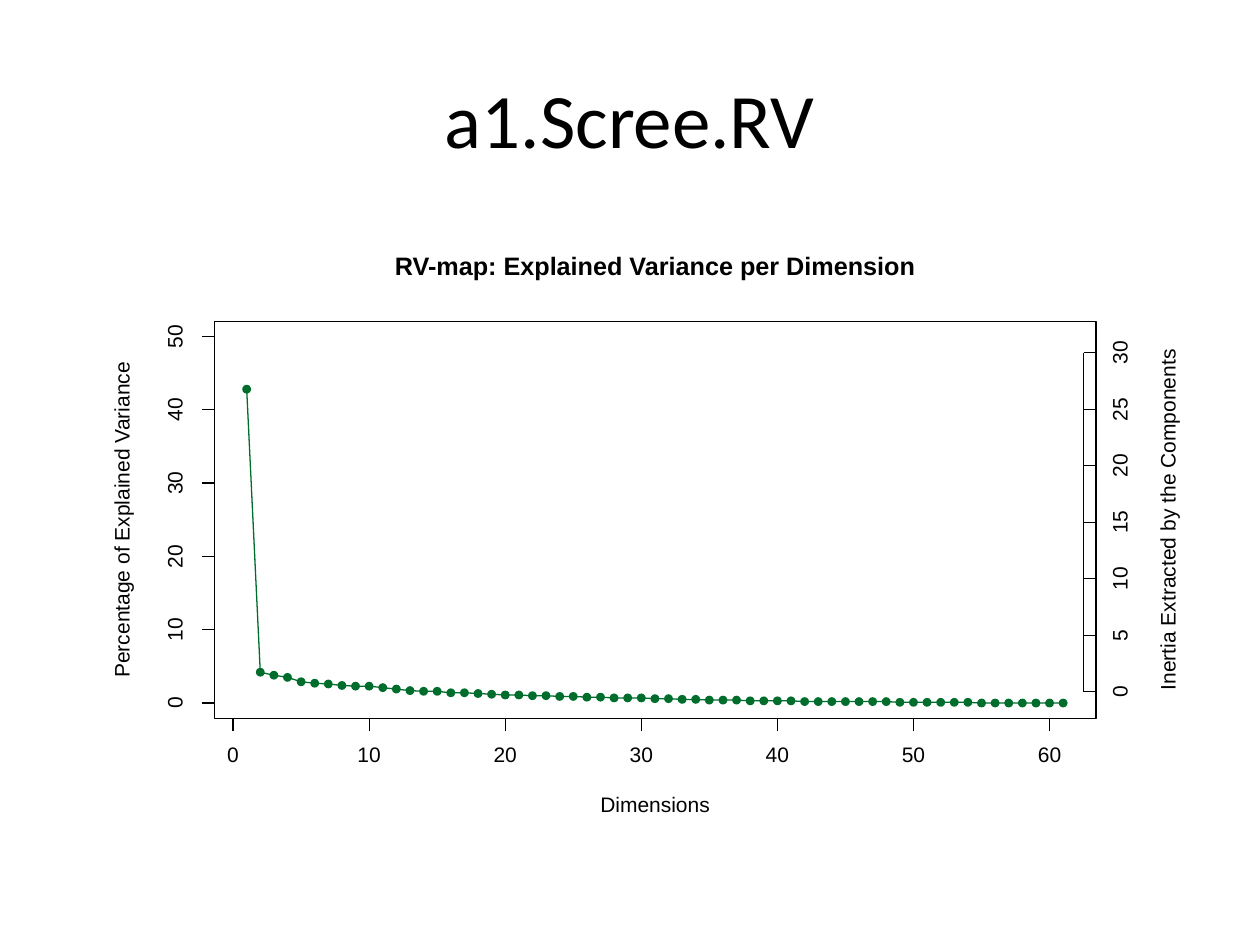
"""Build a scree plot slide with two vertical axes."""
from collections import namedtuple
from dataclasses import dataclass

from lxml.etree import SubElement
from pptx import Presentation
from pptx.dml.color import RGBColor
from pptx.enum.shapes import MSO_CONNECTOR as Connector, MSO_SHAPE as Preset
from pptx.enum.text import MSO_ANCHOR as Anchor, PP_ALIGN as Align
from pptx.oxml.ns import qn
from pptx.util import Inches, Pt


@dataclass(frozen=True)
class Theme:
    """Colours, fonts and type sizes of the slide."""

    ink: str = "000000"
    paper: str = "FFFFFF"
    series: str = "006D2C"
    heading_font: str = "Calibri"
    plot_font: str = "Arial"
    heading_size: float = 44
    title_size: float = 14.4
    label_size: float = 12
    line_width: float = 0.75


THEME = Theme()
COLUMNS, ROWS = 10, 7.5
UNIT = Inches(1)
FRAME = (1.7, 2.55, 7, 3.15)
LEFT, TOP, WIDTH, HEIGHT = FRAME
RIGHT, BOTTOM = LEFT + WIDTH, TOP + HEIGHT
MIDDLE_X, MIDDLE_Y = LEFT + WIDTH / 2, TOP + HEIGHT / 2
TICK, DOT, LABEL_GAP = 0.1, 0.07, 0.3

Scale = namedtuple("Scale", "start end highest step")
DIMENSIONS = Scale(1.85, 8.33, 60, 10)
VARIANCE = Scale(5.58, 2.67, 50, 10)
INERTIA = Scale(5.49, 2.8, 30, 5)

EXPLAINED = [
    42.8, 4.2, 3.8, 3.5, 2.9, 2.7, 2.6, 2.4, 2.3, 2.3,
    2.1, 1.9, 1.7, 1.6, 1.6, 1.4, 1.4, 1.3, 1.2, 1.1,
    1.1, 1.0, 1.0, 0.9, 0.9, 0.8, 0.8, 0.7, 0.7, 0.7,
    0.6, 0.6, 0.5, 0.5, 0.4, 0.4, 0.4, 0.3, 0.3, 0.3,
    0.3, *[0.2] * 7, *[0.1] * 6, *[0.0] * 7,
]


def grid(*cells):
    """Turn grid cells into slide lengths."""
    return [round(cell * UNIT) for cell in cells]


def place(scale, value):
    """Return the grid position of a value on a scale."""
    return scale.start + (scale.end - scale.start) * value / scale.highest


def ticks(scale):
    """Yield each tick value with its grid position."""
    for value in range(0, scale.highest + 1, scale.step):
        yield value, place(scale, value)


def style_shape(shape, fill=None, line=None):
    """Set the fill and outline of a shape and remove its shadow."""
    shape.shadow.inherit = False
    if fill:
        shape.fill.solid()
        shape.fill.fore_color.rgb = RGBColor.from_string(fill)
    else:
        shape.fill.background()
    if line:
        shape.line.color.rgb = RGBColor.from_string(line)
        shape.line.width = Pt(THEME.line_width)
    else:
        shape.line.fill.background()


def add_preset(shapes, preset, box, **style):
    """Add a preset shape in a grid box."""
    style_shape(shapes.add_shape(preset, *grid(*box)), **style)


def add_line(shapes, *ends):
    """Add a straight axis line between two grid points."""
    line = shapes.add_connector(Connector.STRAIGHT, *grid(*ends))
    line.line.color.rgb = RGBColor.from_string(THEME.ink)
    line.line.width = Pt(THEME.line_width)
    SubElement(line._element.spPr, qn("a:effectLst"))


def add_text(shapes, text, center, extent, *, size=THEME.label_size,
             font=THEME.plot_font, bold=False, rotation=0, tight=True):
    """Add one line of text centred on a grid point."""
    (x, y), (width, height) = center, extent
    shape = shapes.add_textbox(*grid(x - width / 2, y - height / 2, width, height))
    shape.rotation = rotation
    frame = shape.text_frame
    frame.word_wrap = not tight
    frame.vertical_anchor = Anchor.MIDDLE
    paragraph = frame.paragraphs[0]
    paragraph.alignment = Align.CENTER
    if tight:
        frame.margin_left = frame.margin_right = 0
        frame.margin_top = frame.margin_bottom = 0
        paragraph.line_spacing = Pt(size)
    run = paragraph.add_run()
    run.text = text
    run.font.name, run.font.size, run.font.bold = font, Pt(size), bold
    run.font.color.rgb = RGBColor.from_string(THEME.ink)


def add_tick_label(shapes, value, center, rotation=0):
    """Add the number beside a tick."""
    text = str(value)
    add_text(shapes, text, center, (0.1 * len(text), 0.12), rotation=rotation)


def add_horizontal_axis(shapes, scale):
    """Add the axis below the frame."""
    add_line(shapes, scale.start, BOTTOM, scale.end, BOTTOM)
    for value, x in ticks(scale):
        add_line(shapes, x, BOTTOM, x, BOTTOM + TICK)
        add_tick_label(shapes, value, (x, BOTTOM + LABEL_GAP))


def add_vertical_axis(shapes, scale, axis_x, tick_x, label_x):
    """Add a vertical axis with ticks from axis_x to tick_x."""
    add_line(shapes, axis_x, scale.start, axis_x, scale.end)
    for value, y in ticks(scale):
        add_line(shapes, axis_x, y, tick_x, y)
        add_tick_label(shapes, value, (label_x, y), rotation=270)


def add_curve(shapes, points):
    """Join the points with one open line."""
    first, *others = [grid(*point) for point in points]
    builder = shapes.build_freeform(*first)
    builder.add_line_segments(others, close=False)
    style_shape(builder.convert_to_shape(), line=THEME.series)


def add_dots(shapes, points):
    """Mark each point with a dot."""
    for x, y in points:
        box = (x - DOT / 2, y - DOT / 2, DOT, DOT)
        add_preset(shapes, Preset.OVAL, box, fill=THEME.series)


def add_scree_plot(shapes):
    """Add the whole plot."""
    points = [(place(DIMENSIONS, number), place(VARIANCE, value))
              for number, value in enumerate(EXPLAINED, 1)]
    add_preset(shapes, Preset.RECTANGLE, (0.5, 1.75, 9, 4.95),
               fill=THEME.paper, line=THEME.paper)
    add_curve(shapes, points)
    add_horizontal_axis(shapes, DIMENSIONS)
    add_vertical_axis(shapes, VARIANCE, LEFT, LEFT - TICK, LEFT - LABEL_GAP)
    add_preset(shapes, Preset.RECTANGLE, FRAME, line=THEME.ink)
    add_text(shapes, "RV-map: Explained Variance per Dimension",
             (MIDDLE_X, 2.13), (4.2, 0.18), size=THEME.title_size, bold=True)
    add_text(shapes, "Dimensions", (MIDDLE_X, 6.4), (0.9, 0.12))
    add_text(shapes, "Percentage of Explained Variance",
             (0.98, MIDDLE_Y), (2.55, 0.16), rotation=270)
    add_dots(shapes, points)
    add_text(shapes, "Inertia Extracted by the Components",
             (9.28, MIDDLE_Y), (2.75, 0.16), rotation=270)
    add_vertical_axis(shapes, INERTIA, RIGHT - TICK, RIGHT, RIGHT + 0.2)


def main():
    """Build and save the slide."""
    presentation = Presentation()
    presentation.slide_width, presentation.slide_height = grid(COLUMNS, ROWS)
    slide = presentation.slides.add_slide(presentation.slide_layouts[6])
    add_text(slide.shapes, "a1.Scree.RV", (COLUMNS / 2, 0.93), (9, 1.25),
             size=THEME.heading_size, font=THEME.heading_font, tight=False)
    add_scree_plot(slide.shapes.add_group_shape().shapes)
    presentation.save("out.pptx")


if __name__ == "__main__":
    main()
